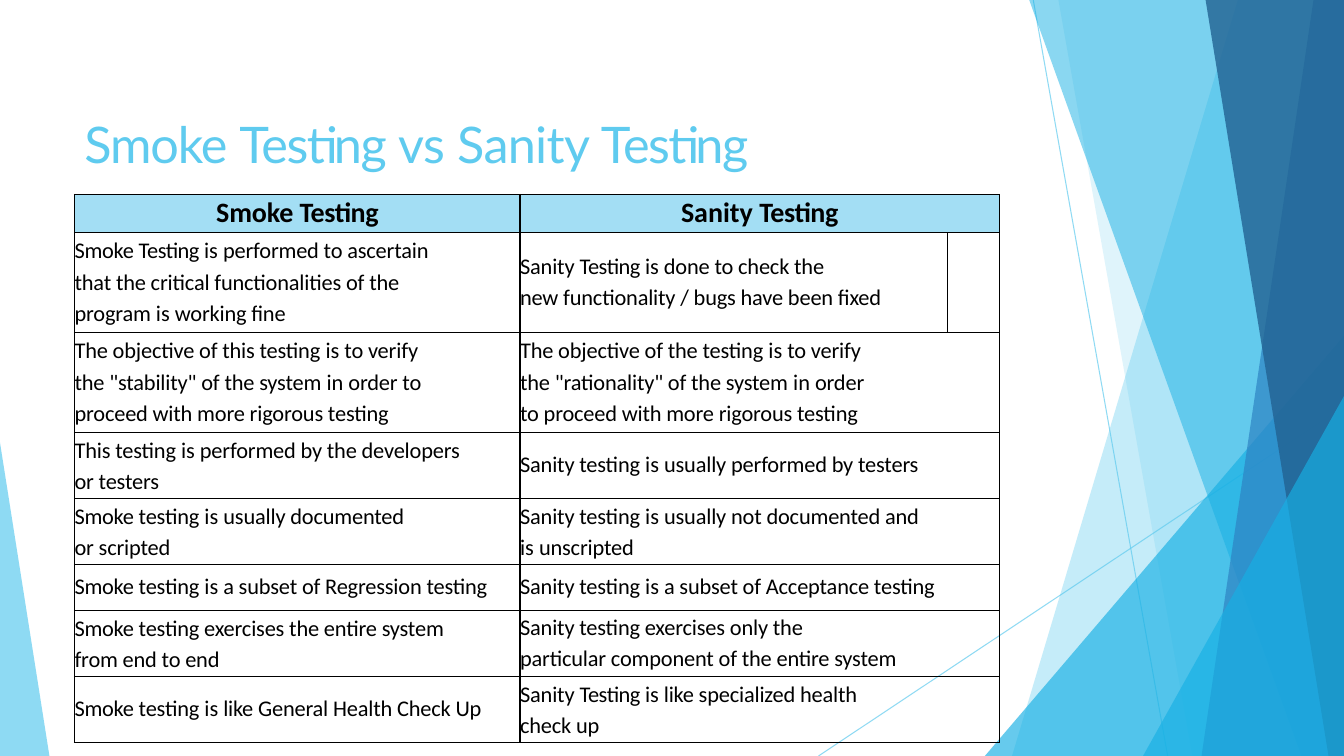
from itertools import groupby

from lxml.etree import SubElement
from pptx import Presentation
from pptx.dml.color import RGBColor
from pptx.enum.shapes import MSO_CONNECTOR as Connector, MSO_SHAPE as Shape
from pptx.enum.text import MSO_ANCHOR as Anchor, PP_ALIGN as Align
from pptx.oxml.ns import qn
from pptx.util import Inches, Pt

SKY = RGBColor(0x5F, 0xCB, 0xEF)
CYAN = RGBColor(0x17, 0xB0, 0xE4)
BLUE = RGBColor(0x2E, 0x83, 0xC3)
NAVY = RGBColor(0x22, 0x62, 0x92)
HEADER_FILL = RGBColor(0xA3, 0xDE, 0xF4)
BLACK = RGBColor(0, 0, 0)

SLIDE_W, SLIDE_H = Inches(13.33), Inches(7.5)

TITLE_TRACKING = {"Smoke": -0.8, "Testing": -1.1, "vs": -0.4, "Sanity": -0.5}
HEADER_TRACKING = {"Sanity": 0, "Testing": -0.3}
BODY_TRACKING = {"Smoke": -0.2, "Testing": -0.3, "is": 0, "in": 0, "like": -0.2}

COLUMN_SHARES = [33.15, 31.8, 3.85]
ROW_SHARES = [5.07, 13.23, 13.23, 8.73, 8.73, 6.07, 8.73, 8.73]
LOOSE, EXACT, SINGLE = 1.15, Pt(22.1), None
PARAGRAPH_GAP = 2.9

HEADINGS = ["Smoke Testing", "Sanity Testing"]
COMPARISON = [
    ((0.2, LOOSE, ["Smoke Testing is performed to ascertain\n"
                   "that the critical functionalities of the\nprogram is working fine"]),
     (14.2, SINGLE, ["Sanity Testing is done to check the",
                     "new functionality / bugs have been fixed"])),
    ((0.2, LOOSE, ["The objective of this testing is to verify\n"
                   "the \"stability\" of the system in order to\n"
                   "proceed with more rigorous testing"]),
     (0.2, LOOSE, ["The objective of the testing is to verify\n"
                   "the \"rationality\" of the system in order\n"
                   "to proceed with more rigorous testing"])),
    ((0.4, EXACT, ["This testing is performed by the developers\nor testers"]),
     (13.1, SINGLE, ["Sanity testing is usually performed by testers"])),
    ((0.4, EXACT, ["Smoke testing is usually documented\nor scripted"]),
     (0.4, EXACT, ["Sanity testing is usually not documented and\nis unscripted"])),
    ((6, SINGLE, ["Smoke testing is a subset of Regression testing"]),
     (6, SINGLE, ["Sanity testing is a subset of Acceptance testing"])),
    ((0.4, EXACT, ["Smoke testing exercises the entire system\nfrom end to end"]),
     (2.1, SINGLE, ["Sanity testing exercises only the",
                    "particular component of the entire system"])),
    ((13.2, SINGLE, ["Smoke testing is like General Health Check Up"]),
     (0.4, EXACT, ["Sanity Testing is like specialized health\ncheck up"])),
]


def across(percent):
    """Return a share of the slide's width."""
    return round(SLIDE_W * percent / 100)


def down(percent):
    """Return a share of the slide's height."""
    return round(SLIDE_H * percent / 100)


def set_alpha(fill, percent):
    """Make a solid fill partly transparent."""
    color = fill._xPr.find(qn("a:solidFill"))[0]
    SubElement(color, qn("a:alpha"), val=str(percent * 1000))


def paint(facet, color, opacity):
    """Give a facet its translucent fill without outline or shadow."""
    facet.shadow.inherit = False
    facet.fill.solid()
    facet.fill.fore_color.rgb = color
    set_alpha(facet.fill, opacity)
    facet.line.fill.background()


def add_ray(slide, x1, y1, x2, y2):
    """Draw a thin translucent line across the decoration."""
    ray = slide.shapes.add_connector(
        Connector.STRAIGHT, across(x1), down(y1), across(x2), down(y2))
    ray.line.width = Pt(0.75)
    ray.line.color.rgb = SKY
    set_alpha(ray.line.fill, 70)
    SubElement(ray._element.spPr, qn("a:effectLst"))


def add_band(slide, top, bottom, color, opacity):
    """Draw a full-height band from a slanted edge to the right side."""
    outline = slide.shapes.build_freeform(across(top), 0)
    outline.add_line_segments(
        [(SLIDE_W, 0), (SLIDE_W, SLIDE_H), (across(bottom), SLIDE_H)], close=True)
    paint(outline.convert_to_shape(), color, opacity)


def add_corner(slide, left, top, width, apex, color, opacity):
    """Draw a right triangle standing on the bottom edge."""
    corner = slide.shapes.add_shape(
        Shape.ISOSCELES_TRIANGLE, across(left), down(top), across(width), down(100 - top))
    corner.adjustments[0] = apex
    paint(corner, color, opacity)


def add_runs(paragraph, text, tracking, size, font, color, bold=False):
    """Write text run by run, grouping words of equal tracking."""
    for number, line in enumerate(text.split("\n")):
        if number:
            paragraph.add_line_break()
        *leading, last = line.split(" ")
        words = [word + " " for word in leading] + [last]
        for spacing, group in groupby(words, lambda w: tracking.get(w.strip(), -0.1)):
            run = paragraph.add_run()
            run.text = "".join(group)
            run.font.size, run.font.name, run.font.bold = Pt(size), font, bold
            run.font.color.rgb = color
            run._r.get_or_add_rPr().set("spc", str(round(spacing * 100)))


def add_title(slide, text):
    """Place the slide title."""
    title = slide.shapes.add_textbox(across(5.55), down(14), across(70.5), down(10))
    title.text_frame.word_wrap = True
    title.text_frame.vertical_anchor = Anchor.MIDDLE
    add_runs(title.text_frame.paragraphs[0], text, TITLE_TRACKING, 36, "Lato", SKY)


def frame_cell(cell):
    """Clear a cell's margins and fill, and rule its four sides."""
    cell.margin_left = cell.margin_right = cell.margin_top = cell.margin_bottom = 0
    properties = cell._tc.get_or_add_tcPr()
    for side in "LRTB":
        border = SubElement(properties, qn(f"a:ln{side}"), w=str(Pt(1)))
        ink = SubElement(border, qn("a:solidFill"))
        SubElement(ink, qn("a:srgbClr"), val=str(BLACK))
    cell.fill.background()


def write_heading(cell, text):
    """Fill in a column heading."""
    cell.fill.solid()
    cell.fill.fore_color.rgb = HEADER_FILL
    cell.margin_top = Pt(0.8)
    heading = cell.text_frame.paragraphs[0]
    heading.alignment = Align.CENTER
    heading.space_before = Pt(0.8)
    add_runs(heading, text, HEADER_TRACKING, 20, "Calibri", BLACK, bold=True)


def write_statement(cell, before, line_spacing, paragraphs):
    """Fill in one statement of the comparison."""
    cell.margin_top = Pt(before)
    for number, text in enumerate(paragraphs):
        frame = cell.text_frame
        statement = frame.add_paragraph() if number else frame.paragraphs[0]
        statement.alignment = Align.LEFT
        statement.space_before = Pt(PARAGRAPH_GAP if number else before)
        statement.line_spacing = line_spacing
        add_runs(statement, text, BODY_TRACKING, 16, "Calibri", BLACK)


def add_comparison(slide):
    """Build the table that sets the two kinds of testing side by side."""
    table = slide.shapes.add_table(
        len(ROW_SHARES), len(COLUMN_SHARES), across(5.55), down(25.73),
        across(sum(COLUMN_SHARES)), down(sum(ROW_SHARES))).table
    table.first_row = table.horz_banding = False
    for column, share in zip(table.columns, COLUMN_SHARES):
        column.width = across(share)
    for row, share in zip(table.rows, ROW_SHARES):
        row.height = down(share)
    for cell in table.iter_cells():
        frame_cell(cell)
    for row in range(len(ROW_SHARES)):
        if row != 1:
            table.cell(row, 1).merge(table.cell(row, 2))
    for column, heading in enumerate(HEADINGS):
        write_heading(table.cell(0, column), heading)
    for row, statements in enumerate(COMPARISON, start=1):
        for column, statement in enumerate(statements):
            write_statement(table.cell(row, column), *statement)


def add_decoration(slide):
    """Draw the overlapping facets at both edges of the slide."""
    add_ray(slide, 76.88, 0, 86.88, 100)
    add_ray(slide, 100, 53.75, 60.9, 100)
    add_band(slide, 92.1, 75.3, SKY, 36)
    add_band(slide, 78.75, 88.72, SKY, 20)
    add_corner(slide, 73.28, 44.4, 26.72, 1, CYAN, 66)
    add_band(slide, 76.58, 96.82, CYAN, 50)
    add_band(slide, 97.73, 89.4, BLUE, 70)
    add_band(slide, 89.7, 98.85, NAVY, 80)
    add_corner(slide, 85.05, 52.4, 14.95, 1, CYAN, 66)
    add_corner(slide, 0, 58.53, 3.68, 0, SKY, 70)


def main():
    """Build the slide and save it."""
    deck = Presentation()
    deck.slide_width, deck.slide_height = SLIDE_W, SLIDE_H
    slide = deck.slides.add_slide(deck.slide_layouts[6])
    add_decoration(slide)
    add_title(slide, "Smoke Testing vs Sanity Testing")
    add_comparison(slide)
    deck.save("out.pptx")


if __name__ == "__main__":
    main()
